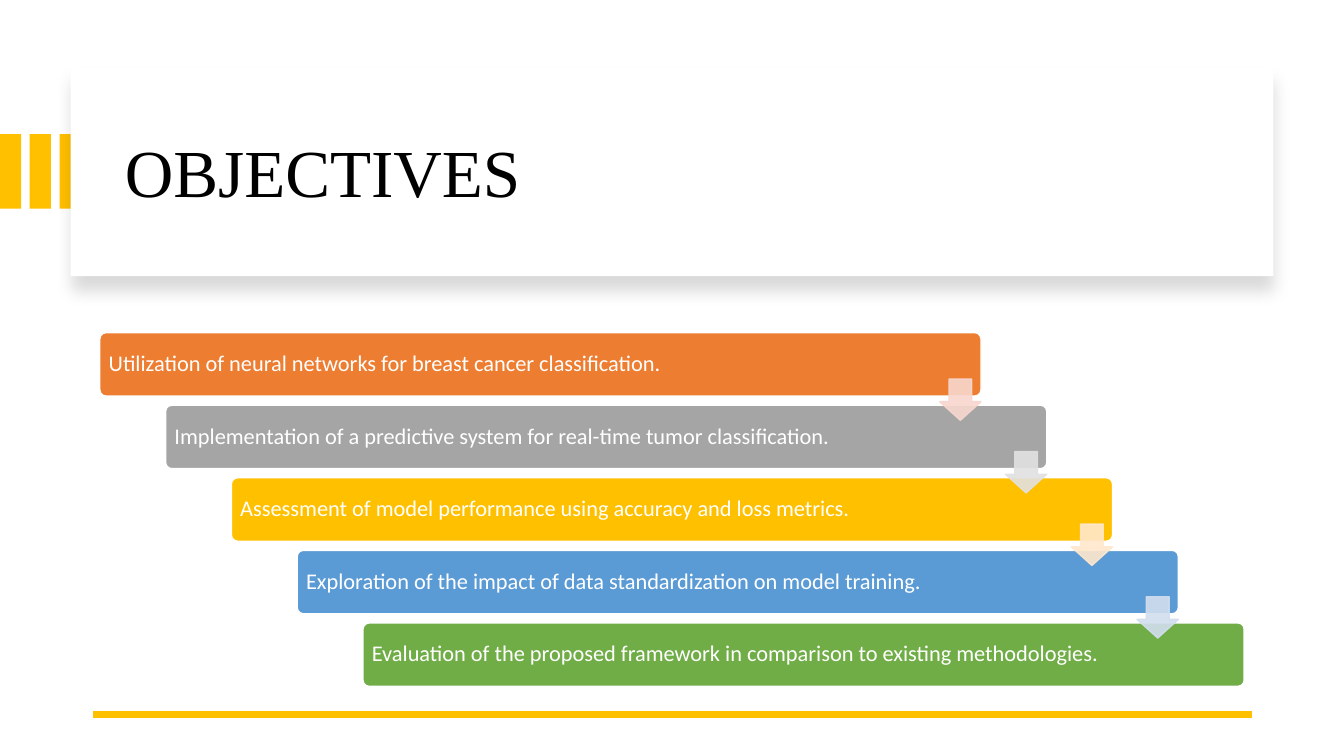
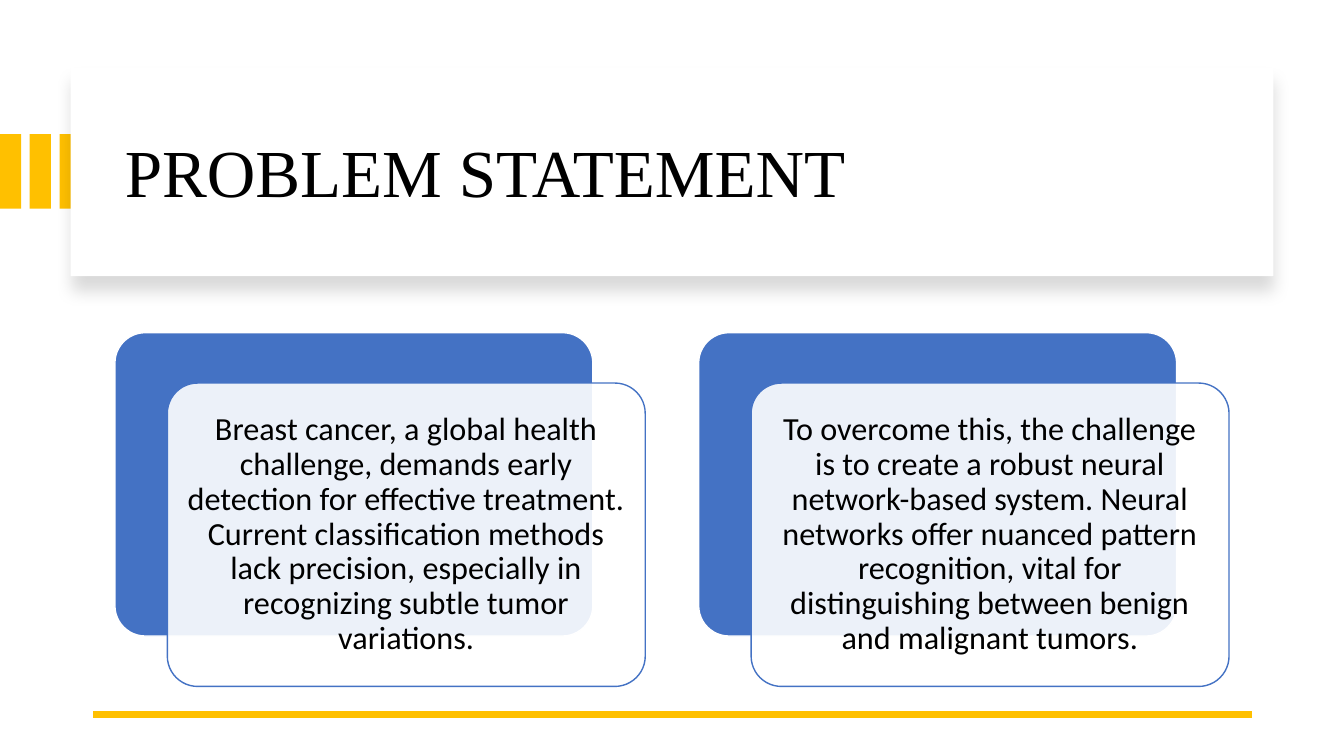
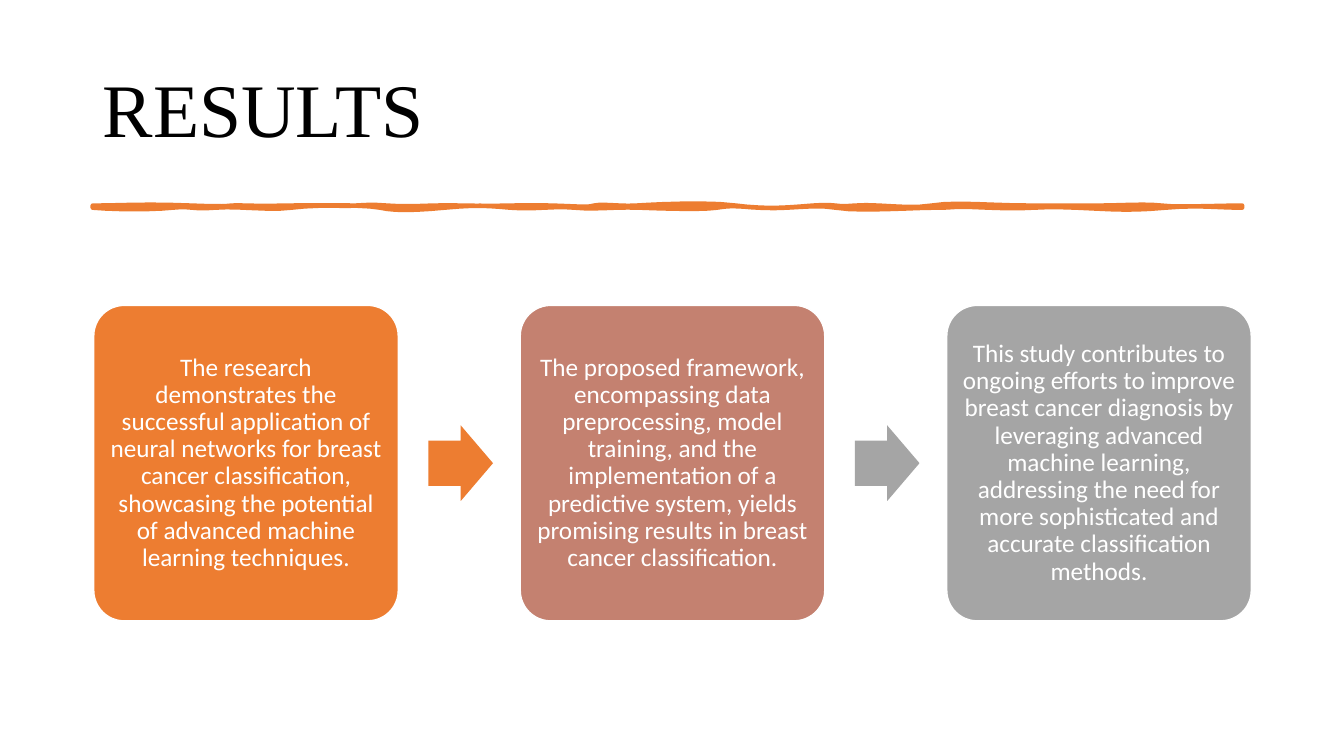
from lxml import etree
from pptx import Presentation
from pptx.dml.color import RGBColor
from pptx.enum.shapes import MSO_CONNECTOR, MSO_SHAPE
from pptx.enum.text import MSO_ANCHOR, PP_ALIGN
from pptx.oxml.ns import qn
from pptx.util import Inches, Pt

RECT, ROUNDED = MSO_SHAPE.RECTANGLE, MSO_SHAPE.ROUNDED_RECTANGLE
DOWN_ARROW, RIGHT_ARROW = MSO_SHAPE.DOWN_ARROW, MSO_SHAPE.RIGHT_ARROW
STRAIGHT = MSO_CONNECTOR.STRAIGHT
MIDDLE = MSO_ANCHOR.MIDDLE
LEFT, CENTER = PP_ALIGN.LEFT, PP_ALIGN.CENTER

BLACK, WHITE = "000000", "FFFFFF"
GOLD, ORANGE, GRAY = "FFC000", "ED7D31", "A5A5A5"
BLUE, SKY, GREEN, ROSE = "4472C4", "5B9BD5", "70AD47", "C48170"
TITLE_FONT, BODY_FONT = "Times New Roman", "Calibri"

# Content: text, box colour, colour of the arrow to the next step
OBJECTIVES = [
    ("Utilization of neural networks for breast cancer classification.", ORANGE, "F8D7CE"),
    ("Implementation of a predictive system for real-time tumor classification.", GRAY, "E1E1E1"),
    ("Assessment of model performance using accuracy and loss metrics.", GOLD, "FFE8CC"),
    ("Exploration of the impact of data standardization on model training.", SKY, "D2DEEF"),
    ("Evaluation of the proposed framework in comparison to existing methodologies.", GREEN, None),
]
PROBLEMS = [
    "Breast cancer, a global health challenge, demands early detection for effective "
    "treatment. Current classification methods lack precision, especially in recognizing "
    "subtle tumor variations.",
    "To overcome this, the challenge is to create a robust neural network-based system. "
    "Neural networks offer nuanced pattern recognition, vital for distinguishing between "
    "benign and malignant tumors.",
]
RESULTS = [
    ("The research demonstrates the successful application of neural networks for breast "
     "cancer classification, showcasing the potential of advanced machine learning "
     "techniques.", ORANGE, ORANGE),
    ("The proposed framework, encompassing data preprocessing, model training, and the "
     "implementation of a predictive system, yields promising results in breast cancer "
     "classification.", ROSE, GRAY),
    ("This study contributes to ongoing efforts to improve breast cancer diagnosis by "
     "leveraging advanced machine learning, addressing the need for more sophisticated and "
     "accurate classification methods.", GRAY, None),
]

# Hand-drawn rule: Bezier segments (control, control, end) in inches
RULE_START = (0.92, 2.04)
RULE_CURVES = [
    (1.19, 2.04, 1.44, 2.02, 1.9, 2.04), (2.37, 2.06, 2.2, 2.03, 2.44, 2.04),
    (2.67, 2.05, 3.03, 2.03, 3.31, 2.04), (3.6, 2.05, 3.59, 2.02, 3.84, 2.04),
    (4.1, 2.06, 4.23, 2.03, 4.6, 2.04), (4.98, 2.05, 5.14, 2.03, 5.48, 2.04),
    (5.81, 2.05, 5.81, 2.06, 5.89, 2.04), (5.98, 2.02, 6.15, 2.05, 6.31, 2.04),
    (6.47, 2.03, 7.01, 2, 7.3, 2.04), (7.59, 2.08, 7.81, 2.06, 8.06, 2.04),
    (8.31, 2.02, 8.27, 2.06, 8.48, 2.04), (8.68, 2.02, 9.01, 2.08, 9.24, 2.04),
    (9.47, 2, 9.82, 2.04, 10.23, 2.04), (10.63, 2.04, 10.63, 2.04, 10.87, 2.04),
    (11.12, 2.04, 11.36, 2.02, 11.52, 2.04), (11.68, 2.06, 12.03, 2.04, 12.32, 2.04),
    (12.32, 2.05, 12.32, 2.05, 12.32, 2.06), (12.05, 2.06, 11.89, 2.03, 11.56, 2.06),
    (11.22, 2.09, 11.1, 2.08, 10.68, 2.06), (10.27, 2.04, 10.23, 2.08, 9.81, 2.06),
    (9.39, 2.04, 9.52, 2.06, 9.28, 2.06), (9.04, 2.06, 8.51, 2.1, 8.29, 2.06),
    (8.06, 2.02, 7.82, 2.08, 7.53, 2.06), (7.24, 2.04, 7.25, 2.04, 7.11, 2.06),
    (6.98, 2.08, 6.61, 2.07, 6.35, 2.06), (6.09, 2.05, 5.9, 2.08, 5.7, 2.06),
    (5.51, 2.04, 5.28, 2.08, 5.06, 2.06), (4.83, 2.04, 4.73, 2.03, 4.41, 2.06),
    (4.09, 2.09, 3.9, 2.09, 3.77, 2.06), (3.63, 2.03, 3.1, 2.03, 2.89, 2.06),
    (2.68, 2.09, 2.35, 2.04, 2.13, 2.06), (1.92, 2.08, 1.89, 2.04, 1.71, 2.06),
    (1.54, 2.08, 1.14, 2.08, 0.92, 2.06), (0.92, 2.05, 0.92, 2.05, 0.92, 2.04),
]


def color(hex_value):
    return RGBColor.from_string(hex_value)


def add_xml(parent, tag, **attributes):
    return etree.SubElement(parent, qn(tag), {k: str(v) for k, v in attributes.items()})


def paint(fill_format, hex_value, opacity=100):
    fill_format.solid()
    fill_format.fore_color.rgb = color(hex_value)
    if opacity < 100:
        rgb = fill_format._xPr.find(".//" + qn("a:srgbClr"))
        add_xml(rgb, "a:alpha", val=opacity * 1000)


def style(shape, fill, line=None, width=1, opacity=100, line_opacity=100):
    shape.shadow.inherit = False
    paint(shape.fill, fill, opacity)
    if line:
        paint(shape.line.fill, line, line_opacity)
        shape.line.width = Pt(width)
    else:
        shape.line.fill.background()


def add_box(slide, kind, box, fill, adjust=(), **line_format):
    shape = slide.shapes.add_shape(kind, *map(Inches, box))
    for i, value in enumerate(adjust):
        shape.adjustments[i] = value
    style(shape, fill, **line_format)
    return shape


def write(shape, text, size, font_color, font=BODY_FONT, align=CENTER, inset=None):
    frame = shape.text_frame
    frame_format = {"word_wrap": True, "vertical_anchor": MIDDLE}
    if inset is not None:
        for side in ("left", "right", "top", "bottom"):
            frame_format["margin_" + side] = Inches(inset)
    paragraph = frame.paragraphs[0]
    paragraph.text = text
    formats = [
        (frame, frame_format),
        (paragraph, {"alignment": align, "line_spacing": 0.9}),
        (paragraph.font, {"name": font, "size": Pt(size)}),
    ]
    for target, values in formats:
        for name, value in values.items():
            setattr(target, name, value)
    paragraph.font.color.rgb = color(font_color)


def add_title(slide, text, box, size):
    title = slide.shapes.add_textbox(*map(Inches, box))
    write(title, text, size, BLACK, TITLE_FONT, LEFT)


def add_banner(slide, title):
    """Gold tabs, raised title panel and bottom rule."""
    for i in range(3):
        add_box(slide, RECT, (i * 0.295, 1.33, 0.21, 0.74), GOLD)
    panel = add_box(slide, RECT, (0.7, 0.67, 11.93, 2.07), WHITE)
    effects = panel._element.spPr.find(qn("a:effectLst"))
    shadow = add_xml(effects, "a:outerShdw", blurRad=Pt(11), dist=Pt(10),
                     dir=90 * 60000, algn="t", rotWithShape=0)
    add_xml(add_xml(shadow, "a:srgbClr", val=BLACK), "a:alpha", val=15000)
    add_title(slide, title, (1.14, 0.89, 11.13, 1.7), 48)
    rule = slide.shapes.add_connector(STRAIGHT, *map(Inches, (12.42, 7.09, 0.92, 7.09)))
    paint(rule.line.fill, GOLD)
    rule.line.width = Pt(4.5)
    add_xml(rule._element.spPr, "a:effectLst")


def add_hand_drawn_rule(slide, samples=6):
    x0, y0 = RULE_START
    points = []
    for x1, y1, x2, y2, x3, y3 in RULE_CURVES:
        for step in range(1, samples + 1):
            t = step / samples
            u = 1 - t
            weights = (u ** 3, 3 * u * u * t, 3 * u * t * t, t ** 3)
            points.append(tuple(
                Inches(sum(w * v for w, v in zip(weights, values)))
                for values in ((x0, x1, x2, x3), (y0, y1, y2, y3))))
        x0, y0 = x3, y3
    builder = slide.shapes.build_freeform(*map(Inches, RULE_START))
    builder.add_line_segments(points, close=True)
    rule = builder.convert_to_shape()
    style(rule, ORANGE, line=ORANGE, width=3.25)
    add_xml(rule.line._ln, "a:round")


def build_objectives(slide):
    add_banner(slide, "OBJECTIVES")
    places = [(0.99 + i * 0.6525, 3.3 + i * 0.72) for i in range(len(OBJECTIVES))]
    for (x, y), (text, fill, _) in zip(places, OBJECTIVES):
        step = add_box(slide, ROUNDED, (x, y, 8.74, 0.63), fill, [0.1], line=WHITE)
        write(step, text, 16, WHITE, align=LEFT, inset=0.07)
    for (x, y), (_, _, tint) in zip(places, OBJECTIVES):
        if tint:
            add_box(slide, DOWN_ARROW, (x + 8.33, y + 0.46, 0.41, 0.41), tint,
                    [0.55, 0.45], line=tint, opacity=90, line_opacity=90)


def build_problem(slide):
    add_banner(slide, "PROBLEM STATEMENT")
    width, height = 4.74, 3.01
    for i, text in enumerate(PROBLEMS):
        x, y = 1.14 + i * 5.79, 3.3
        add_box(slide, ROUNDED, (x, y, width, height), BLUE, [0.1], line=WHITE)
        card = add_box(slide, ROUNDED, (x + 0.52, y + 0.5, width, height), WHITE, [0.1],
                       line=BLUE, opacity=90)
        write(card, text, 23, BLACK, inset=0.1)


def build_results(slide):
    add_title(slide, "RESULTS", (0.92, 0.4, 11.5, 1.45), 54)
    add_hand_drawn_rule(slide)
    for i, (text, fill, arrow) in enumerate(RESULTS):
        x = 0.93 + i * 4.23
        card = add_box(slide, ROUNDED, (x, 3.03, 3.02, 3.13), fill, [0.1], line=WHITE)
        write(card, text, 18, WHITE, inset=0.07)
        if arrow:
            add_box(slide, RIGHT_ARROW, (x + 3.32, 4.22, 0.64, 0.75), arrow, [0.6, 0.5])


def main():
    deck = Presentation()
    deck.slide_width, deck.slide_height = Inches(13.33), Inches(7.5)
    for build in (build_objectives, build_problem, build_results):
        build(deck.slides.add_slide(deck.slide_layouts[6]))
    deck.save("out.pptx")


if __name__ == "__main__":
    main()
